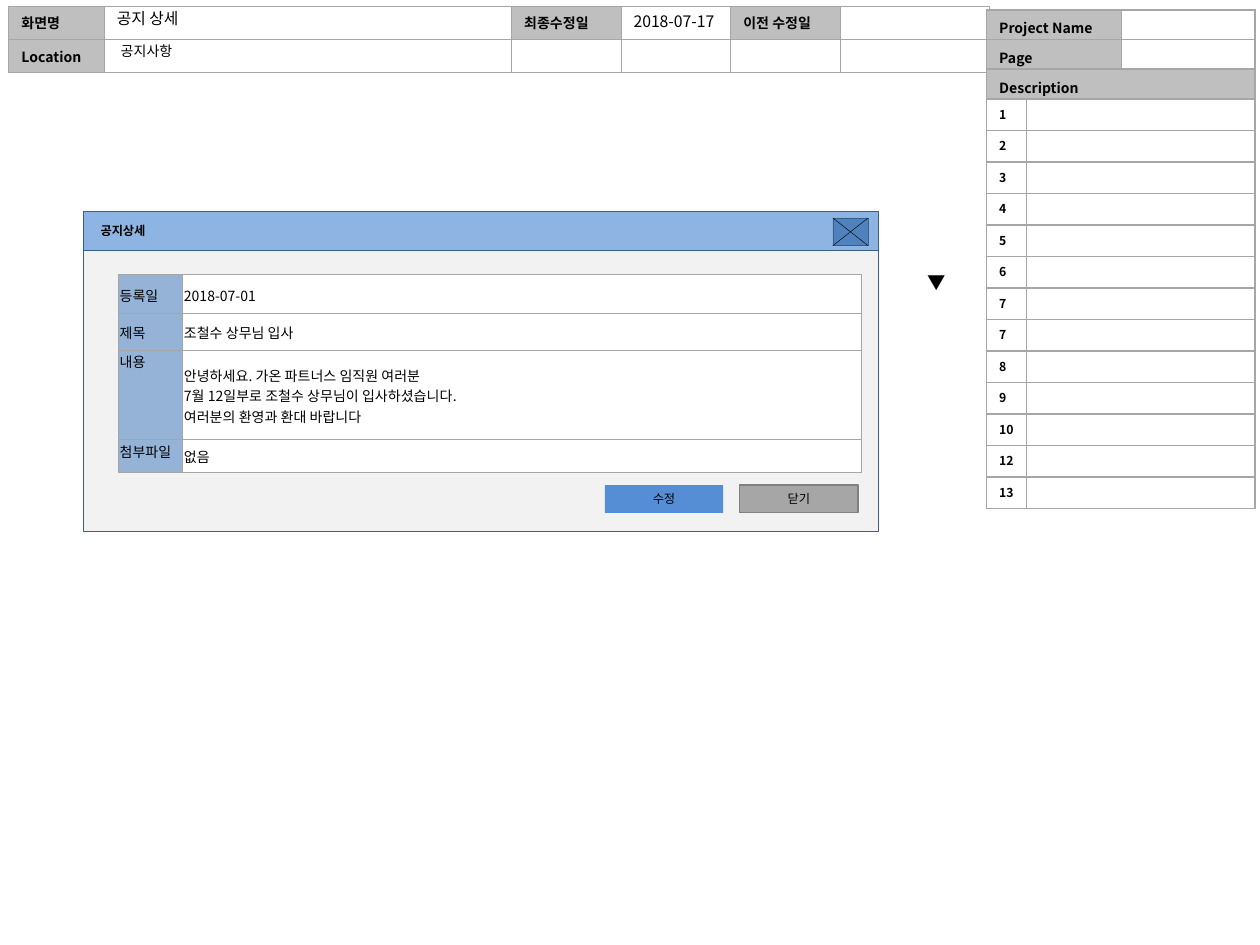
from lxml.etree import SubElement
from pptx import Presentation
from pptx.dml.color import RGBColor
from pptx.enum.shapes import MSO_CONNECTOR, MSO_SHAPE
from pptx.enum.text import MSO_ANCHOR, PP_ALIGN
from pptx.oxml.ns import qn
from pptx.util import Inches, Pt

BLACK = RGBColor(0x00, 0x00, 0x00)
WHITE = RGBColor(0xFF, 0xFF, 0xFF)
LABEL_GRAY = RGBColor(0xBF, 0xBF, 0xBF)
MID_GRAY = RGBColor(0xA6, 0xA6, 0xA6)
DARK_GRAY = RGBColor(0x80, 0x80, 0x80)
PALE_GRAY = RGBColor(0xF2, 0xF2, 0xF2)
TITLE_BLUE = RGBColor(0x8E, 0xB4, 0xE3)
LABEL_BLUE = RGBColor(0x95, 0xB3, 0xD7)
BUTTON_BLUE = RGBColor(0x55, 0x8E, 0xD5)
CLOSE_BLUE = RGBColor(0x4F, 0x81, 0xBD)
OUTLINE_BLUE = RGBColor(0x3A, 0x5F, 0x8C)
FONT = "Noto Sans CJK KR"


def set_values(target, values):
    for name, value in values.items():
        setattr(target, name, value)


def write(frame, text, size, bold=False, align=PP_ALIGN.LEFT):
    paragraph = frame.paragraphs[0]
    paragraph.text = text
    paragraph.alignment = align
    for run in paragraph.runs:
        set_values(run.font, {"name": FONT, "size": Pt(size), "bold": bold})
        run.font.color.rgb = BLACK
        SubElement(run.font._element, qn("a:ea"), typeface=FONT)
    if not text:
        SubElement(paragraph._p, qn("a:endParaRPr"), sz=str(int(size * 100)))


def add_label(shapes, box, text, size, bold=False):
    label = shapes.add_textbox(*map(Inches, box))
    label.text_frame.word_wrap = True
    write(label.text_frame, text, size, bold)


def add_box(shapes, box, fill, line=None, width=0.25):
    shape = shapes.add_shape(MSO_SHAPE.RECTANGLE, *map(Inches, box))
    shape.shadow.inherit = False
    shape.fill.solid()
    shape.fill.fore_color.rgb = fill
    if line is None:
        shape.line.fill.background()
    else:
        shape.line.color.rgb = line
        shape.line.width = Pt(width)
    return shape


def add_button(shapes, box, text, fill, line=None):
    button = add_box(shapes, box, fill, line, 0.75)
    button.text_frame.vertical_anchor = MSO_ANCHOR.MIDDLE
    write(button.text_frame, text, 7, align=PP_ALIGN.CENTER)


def add_grid(shapes, left, top, columns, rows):
    frame = shapes.add_table(len(rows), len(columns), Inches(left), Inches(top),
                             Inches(sum(columns)), Inches(sum(rows)))
    table = frame.table
    set_values(table, {"first_row": False, "horz_banding": False})
    for column, width in zip(table.columns, columns):
        column.width = Inches(width)
    for row, height in zip(table.rows, rows):
        row.height = Inches(height)
    return table


def style_cell(cell, fill, widths=(0.5, 0.5, 0.5, 0.5), **values):
    properties = cell._tc.get_or_add_tcPr()
    for side, width in zip(("lnL", "lnR", "lnT", "lnB"), widths):
        line = SubElement(properties, qn("a:" + side), w=str(Pt(width)))
        solid = SubElement(line, qn("a:solidFill"))
        SubElement(solid, qn("a:srgbClr"), val=str(MID_GRAY))
    cell.fill.solid()
    cell.fill.fore_color.rgb = fill
    set_values(cell, values)


def add_screen_header(shapes, left, top):
    labels = [["화면명", "", "최종수정일", "", "이전 수정일", ""],
              ["Location", "", "", "", "", ""]]
    table = add_grid(shapes, left, top, [0.76, 3.23, 0.87, 0.87, 0.87, 1.18], [0.26] * 2)
    for r, row in enumerate(labels):
        for c, text in enumerate(row):
            cell = table.cell(r, c)
            style_cell(cell, LABEL_GRAY if text else WHITE)
            write(cell.text_frame, text, 8, bold=True)


def add_header_values(shapes, left, top):
    for x, y, width, height, text, size in [
        (0.76, -0.03, 3.07, 0.25, "공지 상세", 9),
        (4.86, -0.01, 0.94, 0.25, "2018-07-17", 9),
        (0.79, 0.24, 2.59, 0.24, "공지사항", 8),
    ]:
        add_label(shapes, (left + x, top + y, width, height), text, size)


def add_close_icon(shapes, left, top, width, height):
    icon = shapes.add_group_shape().shapes
    add_box(icon, (left, top, width, height), CLOSE_BLUE, OUTLINE_BLUE)
    for start, end in [(left, left + width), (left + width, left)]:
        line = icon.add_connector(MSO_CONNECTOR.STRAIGHT, Inches(start), Inches(top),
                                  Inches(end), Inches(top + height))
        line.line.color.rgb = BLACK
        line.line.width = Pt(0.25)
        SubElement(line._element.spPr, qn("a:effectLst"))


def add_notice_table(shapes, left, top):
    notice = [
        ("등록일", "2018-07-01", MSO_ANCHOR.MIDDLE),
        ("제목", "조철수 상무님 입사", MSO_ANCHOR.MIDDLE),
        ("내용", "안녕하세요. 가온 파트너스 임직원 여러분\v"
                 "7월 12일부로 조철수 상무님이 입사하셨습니다. \v"
                 "여러분의 환영과 환대 바랍니다 ", MSO_ANCHOR.TOP),
        ("첨부파일", "없음", MSO_ANCHOR.TOP),
    ]
    margins = {"margin_left": Inches(0.01), "margin_right": Inches(0.01),
               "margin_top": Inches(0.01), "margin_bottom": 0}
    table = add_grid(shapes, left, top, [0.51, 5.39], [0.31, 0.29, 0.71, 0.26])
    for r, (name, value, anchor) in enumerate(notice):
        style_cell(table.cell(r, 0), LABEL_BLUE, vertical_anchor=anchor, **margins)
        style_cell(table.cell(r, 1), WHITE, vertical_anchor=MSO_ANCHOR.MIDDLE, **margins)
        write(table.cell(r, 0).text_frame, name, 8)
        write(table.cell(r, 1).text_frame, value, 8)


def add_notice_dialog(shapes, left, top, width):
    add_box(shapes, (left, top, width, 0.31), TITLE_BLUE, OUTLINE_BLUE)
    add_box(shapes, (left, top + 0.31, width, 2.23), PALE_GRAY, OUTLINE_BLUE)
    add_label(shapes, (left + 0.04, top + 0.04, 1.72, 0.22), "공지상세", 7, bold=True)
    add_button(shapes, (left + 4.14, top + 2.17, 0.94, 0.22), "수정", BUTTON_BLUE)
    add_button(shapes, (left + 5.21, top + 2.17, 0.94, 0.22), "닫기", MID_GRAY, DARK_GRAY)
    add_close_icon(shapes, left + 5.95, top + 0.05, 0.28, 0.22)
    add_notice_table(shapes, left + 0.28, top + 0.5)


def add_description_panel(shapes, left, top):
    headings = ["Project Name", "Page ", "Description"]
    numbers = [1, 2, 3, 4, 5, 6, 7, 7, 8, 9, 10, 12, 13]
    table = add_grid(shapes, left, top, [0.32, 0.75, 1.06],
                     [0.235] * len(headings) + [0.25] * len(numbers))
    for r, text in enumerate(headings):
        for c in range(3):
            fill = WHITE if c == 2 and r < 2 else LABEL_GRAY
            style_cell(table.cell(r, c), fill, (1, 1, 1, 1),
                       margin_top=Inches(0.06), margin_bottom=0)
            write(table.cell(r, c).text_frame, text if c == 0 else "", 8, bold=True)
        table.cell(r, 0).merge(table.cell(r, 2 if r == 2 else 1))
    for r, number in enumerate(numbers, len(headings)):
        for c in range(3):
            widths = (1, 0.5, 1, 1) if c == 0 else (0.5, 1, 1, 1)
            style_cell(table.cell(r, c), WHITE, widths)
            write(table.cell(r, c).text_frame, str(number) if c == 0 else "", 7, bold=True)
        table.cell(r, 1).merge(table.cell(r, 2))


presentation = Presentation()
set_values(presentation, {"slide_width": Inches(10), "slide_height": Inches(7.5)})
slide = presentation.slides.add_slide(presentation.slide_layouts[6])
add_screen_header(slide.shapes, 0.07, 0.05)
add_notice_dialog(slide.shapes, 0.66, 1.68, 6.31)
add_label(slide.shapes, (7.26, 2.1, 0.43, 0.29), "▼", 10.5)
add_description_panel(slide.shapes, 7.83, 0.08)
add_header_values(slide.shapes, 0.07, 0.05)
presentation.save("out.pptx")
